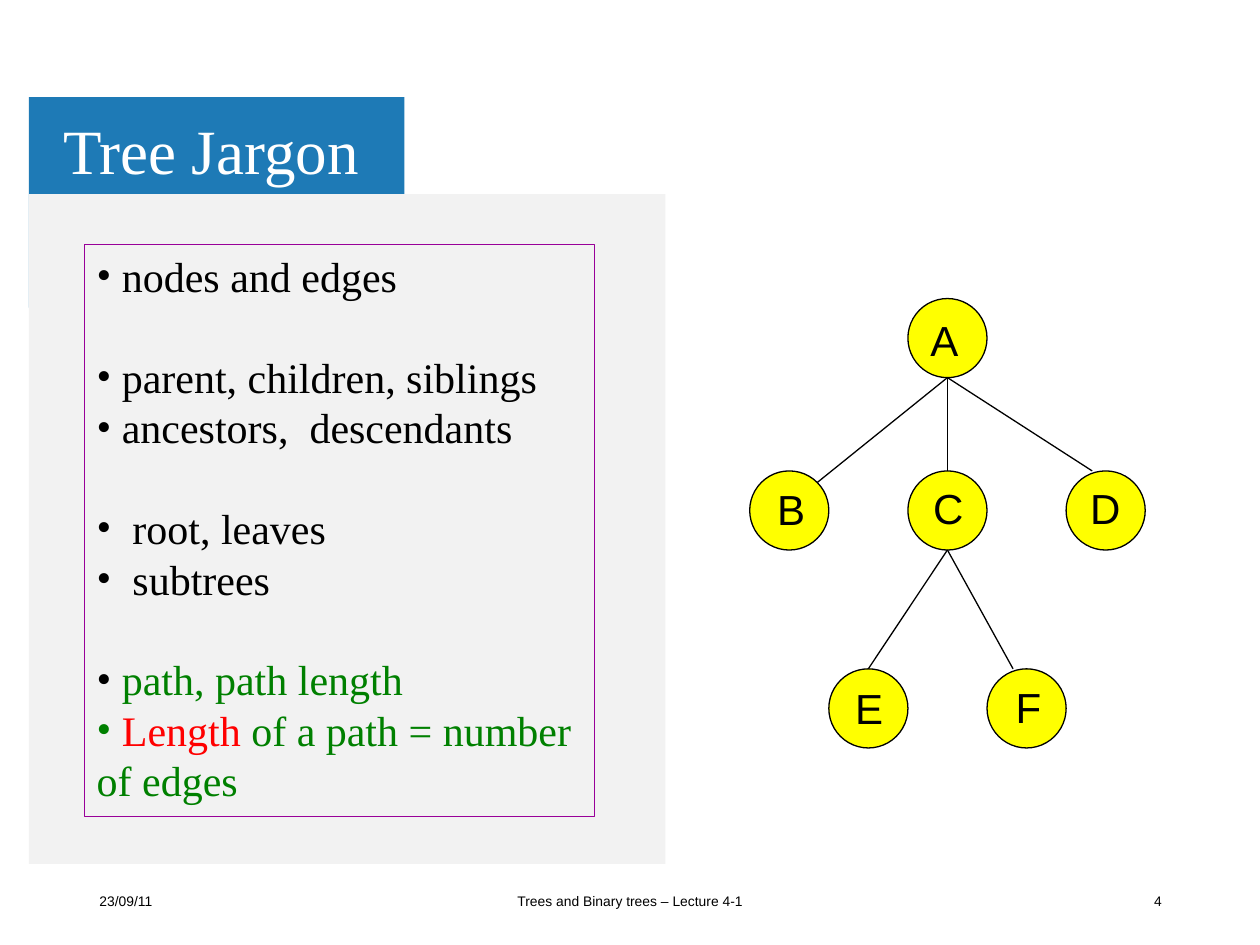
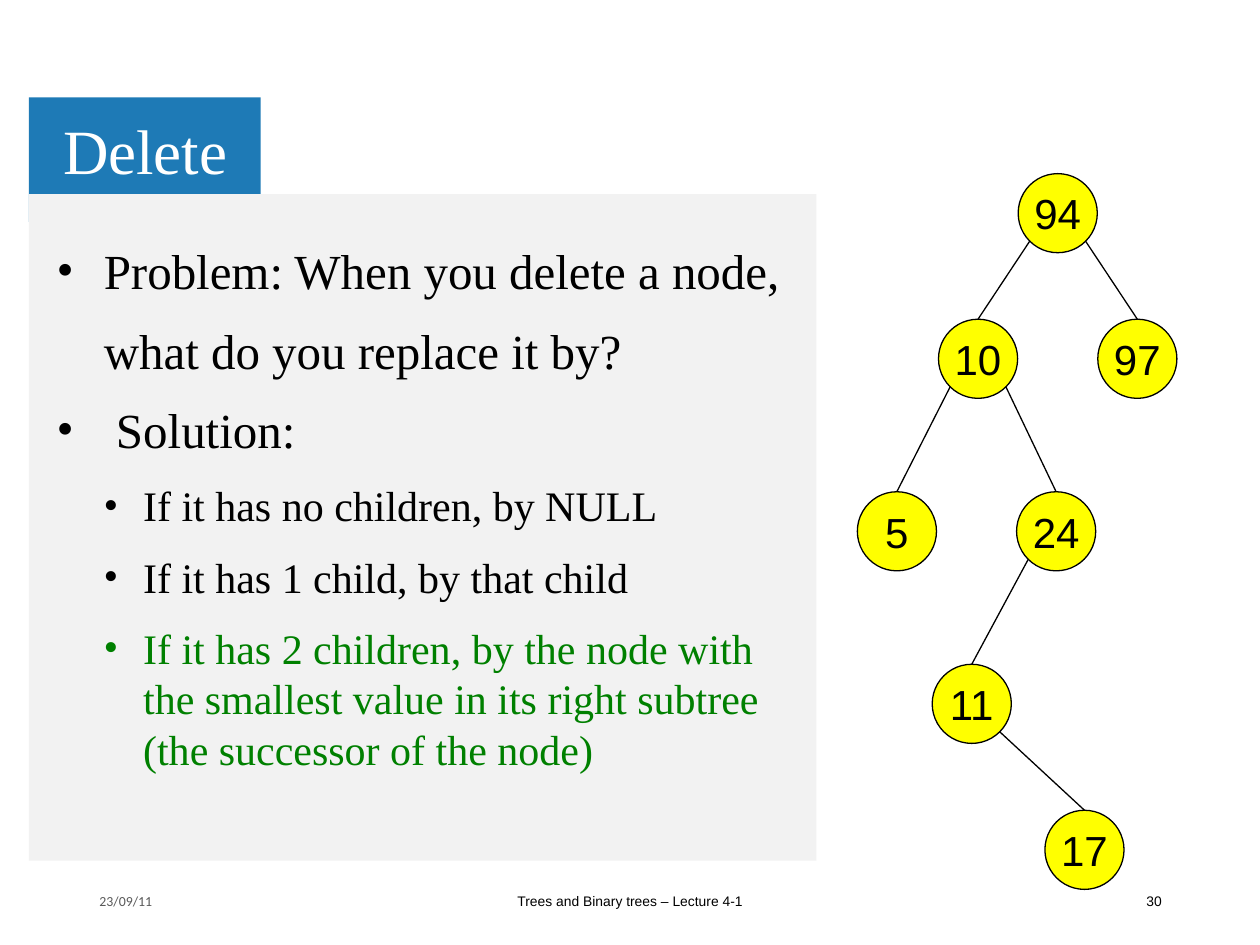
"""Build two lecture slides on tree jargon and deleting from a search tree."""
from lxml import etree
from pptx import Presentation
from pptx.dml.color import RGBColor
from pptx.enum.shapes import MSO_CONNECTOR, MSO_SHAPE
from pptx.enum.text import MSO_ANCHOR, MSO_AUTO_SIZE, PP_ALIGN
from pptx.oxml.ns import qn
from pptx.util import Pt

BLUE = RGBColor(0x1E, 0x7A, 0xB6)
PANEL_GREY = RGBColor(0xF2, 0xF2, 0xF2)
DATE_GREY = RGBColor(0x59, 0x59, 0x59)
PURPLE = RGBColor(0x99, 0x00, 0x99)
YELLOW = RGBColor(0xFF, 0xFF, 0x00)
GREEN = RGBColor(0x00, 0x80, 0x00)
RED = RGBColor(0xFF, 0x00, 0x00)
BLACK = RGBColor(0x00, 0x00, 0x00)
WHITE = RGBColor(0xFF, 0xFF, 0xFF)

LEFT, CENTER, RIGHT = PP_ALIGN.LEFT, PP_ALIGN.CENTER, PP_ALIGN.RIGHT
TOP_ANCHOR, MIDDLE = MSO_ANCHOR.TOP, MSO_ANCHOR.MIDDLE
NO_AUTOSIZE = MSO_AUTO_SIZE.NONE
RECTANGLE, OVAL = MSO_SHAPE.RECTANGLE, MSO_SHAPE.OVAL
STRAIGHT = MSO_CONNECTOR.STRAIGHT
SERIF, SANS, DATE_FONT = "Times New Roman", "Arial", "Calibri"

LEADING = 1.2
NODE = 45.2
BAND_LEFT, BAND_TOP, PANEL_TOP = 16.5, 55.6, 110.9
FOOTER_TOP, FOOTER_HEIGHT = 500.4, 28.8
DATE, LECTURE = "23/09/11", "Trees and Binary trees – Lecture 4-1"

BOTTOM, BOTTOM_LEFT, BOTTOM_RIGHT = (0.5, 1), (0.15, 0.85), (0.85, 0.85)
TOP, TOP_RIGHT, NEAR_TOP = (0.5, 0), (0.85, 0.15), (0.33, 0)

# Each point: runs, size, left margin, first-line indent, space before, bullet colour
JARGON_GAP = 28.8
JARGON = [
    ([(" nodes and edges", BLACK)], 24, 0, 0, 0, BLACK),
    ([(" parent, children, siblings", BLACK)], 24, 0, 0, JARGON_GAP, BLACK),
    ([(" ancestors,  descendants", BLACK)], 24, 0, 0, 0, BLACK),
    ([("root, leaves", BLACK)], 24, 20.4, -20.4, JARGON_GAP, BLACK),
    ([("subtrees", BLACK)], 24, 20.4, -20.4, 0, BLACK),
    ([(" path, path length", GREEN)], 24, 0, 0, JARGON_GAP, BLACK),
    ([(" ", BLACK), ("Length", RED), (" of a path = number of edges", GREEN)],
     24, 0, 0, 0, GREEN),
]
DELETE = [
    ([("Problem: When you delete a node,", BLACK)], 28, 27, -27, 0, BLACK),
    ([("what do you replace it by?", BLACK)], 28, 27, 0, 12, None),
    ([(" Solution:", BLACK)], 28, 27, -27, 12, BLACK),
    ([("If it has no children, by NULL", BLACK)], 24, 49.5, -22.5, 12, BLACK),
    ([("If it has 1 child, by that child", BLACK)], 24, 49.5, -22.5, 12, BLACK),
    ([("If it has 2 children, by the node with\n"
       "the smallest value in its right subtree\n"
       "(the successor of the node)", GREEN)], 24, 49.5, -22.5, 12, GREEN),
]

JARGON_COLUMNS = [428.4 + NODE * step for step in range(5)]
JARGON_ROWS = [170.6, 269.1, 382.2]
JARGON_GRID = {"A": (2, 0), "B": (0, 1), "C": (2, 1), "D": (4, 1),
               "E": (1, 2), "F": (3, 2)}
LETTER_OFFSETS = {"A": (0.7, 0), "B": (3.6, -2), "C": (2.9, -2.9),
                  "D": (2.2, -2.9), "E": (2.9, -1.4), "F": (3.6, -2.2)}
JARGON_TREE = {letter: (JARGON_COLUMNS[column], JARGON_ROWS[row])
               for letter, (column, row) in JARGON_GRID.items()}
JARGON_EDGES = [("A", BOTTOM, "B", TOP_RIGHT), ("A", BOTTOM, "C", TOP),
                ("C", BOTTOM, "E", TOP), ("C", BOTTOM, "F", NEAR_TOP),
                ("A", BOTTOM, "D", NEAR_TOP)]

DELETE_TREE = {"94": (581.8, 99.2), "10": (536.3, 182.4), "97": (627.3, 182.4),
               "5": (489.9, 281), "24": (580.9, 281), "11": (532.7, 379.6),
               "17": (597.1, 463)}
DELETE_EDGES = [("94", BOTTOM_LEFT, "10", TOP), ("94", BOTTOM_RIGHT, "97", TOP),
                ("10", BOTTOM_RIGHT, "24", TOP), ("10", BOTTOM_LEFT, "5", TOP),
                ("24", BOTTOM_LEFT, "11", TOP), ("11", BOTTOM_RIGHT, "17", TOP)]


def points(*lengths):
    return [Pt(length) for length in lengths]


def add_outline(slide, kind, box, fill=None, line=None):
    outline = slide.shapes.add_shape(kind, *points(*box))
    outline.shadow.inherit = False
    if fill is None:
        outline.fill.background()
    else:
        outline.fill.solid()
        outline.fill.fore_color.rgb = fill
    if line is None:
        outline.line.fill.background()
    else:
        outline.line.color.rgb = line
        outline.line.width = Pt(0.75)
    return outline


def prepare_frame(holder, anchor, wrap=True):
    frame = holder.text_frame
    frame.auto_size = NO_AUTOSIZE
    frame.word_wrap = wrap
    frame.vertical_anchor = anchor
    return frame


def add_run(paragraph, text, size, font, color):
    for number, line in enumerate(text.split("\n")):
        if number:
            paragraph.add_line_break()
        run = paragraph.add_run()
        run.text = line
        run.font.size = Pt(size)
        run.font.name = font
        run.font.color.rgb = color


def write_line(holder, text, size, font, color, align=CENTER, anchor=MIDDLE,
               leading=LEADING, wrap=True):
    paragraph = prepare_frame(holder, anchor, wrap).paragraphs[0]
    paragraph.alignment = align
    paragraph.line_spacing = Pt(round(size * leading, 2))
    add_run(paragraph, text, size, font, color)


def set_bullet(properties, color):
    if color is None:
        etree.SubElement(properties, qn("a:buNone"))
        return
    bullet_color = etree.SubElement(properties, qn("a:buClr"))
    etree.SubElement(bullet_color, qn("a:srgbClr"), val=str(color))
    etree.SubElement(properties, qn("a:buFont"), typeface=SERIF)
    etree.SubElement(properties, qn("a:buChar"), char="•")


def write_points(holder, items):
    frame = prepare_frame(holder, TOP_ANCHOR)
    for number, (runs, size, margin, indent, gap, bullet) in enumerate(items):
        paragraph = frame.add_paragraph() if number else frame.paragraphs[0]
        properties = paragraph._p.get_or_add_pPr()
        properties.set("marL", str(Pt(margin)))
        properties.set("indent", str(Pt(indent)))
        set_bullet(properties, bullet)
        paragraph.alignment = LEFT
        paragraph.line_spacing = Pt(round(size * LEADING, 2))
        if gap:
            paragraph.space_before = Pt(gap)
        for text, color in runs:
            add_run(paragraph, text, size, SERIF, color)


def add_footer(slide, number, date_font, date_color):
    for text, left, width, align, font, color in [
            (DATE, 49.7, 162, LEFT, date_font, date_color),
            (LECTURE, 238.3, 243.4, CENTER, SANS, BLACK),
            (number, 509, 162, RIGHT, SANS, BLACK)]:
        box = slide.shapes.add_textbox(*points(left, FOOTER_TOP, width, FOOTER_HEIGHT))
        write_line(box, text, 7.9, font, color, align)


def add_tree(slide, nodes, edges, letter_offsets=None):
    for value, (left, top) in nodes.items():
        node = add_outline(slide, OVAL, (left, top, NODE, NODE), YELLOW, BLACK)
        if letter_offsets is None:
            write_line(node, value, 24, SANS, BLACK, wrap=False)
    for parent, start, child, end in edges:
        ends = [nodes[name][axis] + NODE * site[axis]
                for name, site in ((parent, start), (child, end)) for axis in (0, 1)]
        edge = slide.shapes.add_connector(STRAIGHT, *points(*ends))
        edge.line.color.rgb = BLACK
        edge.line.width = Pt(0.75)
        etree.SubElement(edge._element.spPr, qn("a:effectLst"))
    for letter, (right, down) in (letter_offsets or {}).items():
        left, top = nodes[letter]
        label = slide.shapes.add_textbox(*points(left + right, top + down, 40.3, 41.8))
        write_line(label, letter, 24, SANS, BLACK, anchor=TOP_ANCHOR,
                   leading=LEADING * LEADING)


def add_lecture_slide(deck, heading, heading_width, band_size, panel_size, number,
                      date_font=SANS, date_color=BLACK):
    slide = deck.slides.add_slide(deck.slide_layouts[5])
    add_outline(slide, RECTANGLE, (BAND_LEFT, BAND_TOP, *band_size), BLUE)
    panel = add_outline(slide, RECTANGLE, (BAND_LEFT, PANEL_TOP, *panel_size), PANEL_GREY)
    title = slide.shapes.title
    title.left, title.top, title.width, title.height = points(
        28.8, 59, heading_width, 56.9)
    write_line(title, heading, 36, SERIF, WHITE, LEFT, leading=0.9 * LEADING)
    panel._element.addnext(title._element)
    add_footer(slide, number, date_font, date_color)
    return slide


def main():
    deck = Presentation()
    deck.slide_width, deck.slide_height = points(720, 540)

    jargon = add_lecture_slide(deck, "Tree Jargon", 400.3, (214.6, 120.2),
                               (363.8, 382.8), "4")
    frame = add_outline(jargon, RECTANGLE, (48.2, 139.7, 291.6, 326.9), line=PURPLE)
    write_points(frame, JARGON)
    add_tree(jargon, JARGON_TREE, JARGON_EDGES, LETTER_OFFSETS)

    delete = add_lecture_slide(deck, "Delete", 364.3, (132.4, 71.3),
                               (450, 380.9), "30", DATE_FONT, DATE_GREY)
    body = delete.shapes.add_textbox(*points(25.2, 133.9, 437.8, 357.1))
    write_points(body, DELETE)
    add_tree(delete, DELETE_TREE, DELETE_EDGES)

    deck.save("out.pptx")


if __name__ == "__main__":
    main()
